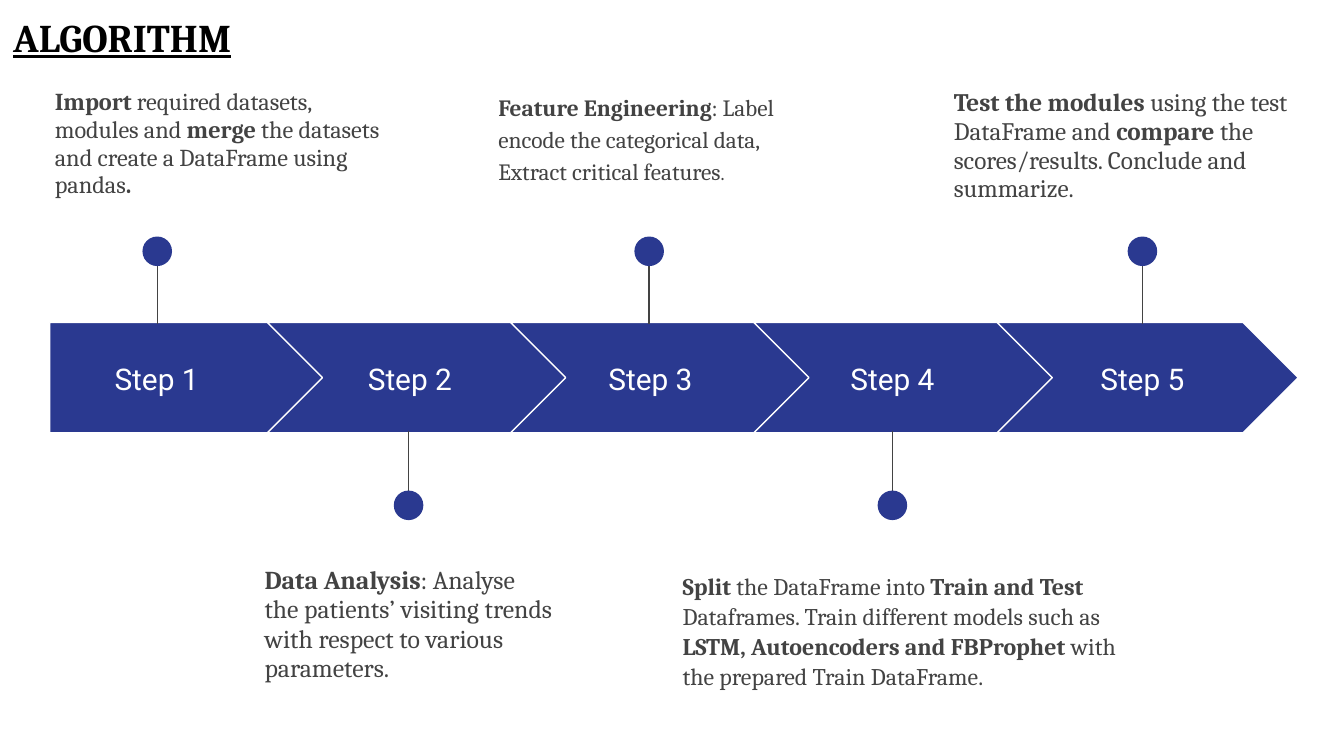
from dataclasses import dataclass

from lxml import etree
from pptx import Presentation
from pptx.dml.color import RGBColor
from pptx.enum.shapes import MSO_CONNECTOR, MSO_SHAPE
from pptx.enum.text import MSO_ANCHOR, PP_ALIGN
from pptx.oxml.ns import qn
from pptx.shapes.autoshape import Shape
from pptx.slide import Slide
from pptx.util import Inches, Pt

PENTAGON = MSO_SHAPE.PENTAGON
CHEVRON = MSO_SHAPE.CHEVRON
OVAL = MSO_SHAPE.OVAL
STRAIGHT = MSO_CONNECTOR.STRAIGHT
MIDDLE = MSO_ANCHOR.MIDDLE
TOP = MSO_ANCHOR.TOP
CENTER = PP_ALIGN.CENTER


@dataclass(frozen=True)
class Theme:
    arrow: RGBColor = RGBColor(0x2A, 0x39, 0x90)
    white: RGBColor = RGBColor(0xFF, 0xFF, 0xFF)
    body: RGBColor = RGBColor(0x43, 0x43, 0x43)
    title: RGBColor = RGBColor(0, 0, 0)
    serif: str = "Cambria"
    sans: str = "Roboto"
    title_size: float = 21
    label_size: float = 16
    small_stop_size: float = 10.5
    line_width: float = 0.75


@dataclass(frozen=True)
class Box:
    left: float
    top: float
    width: float
    height: float


@dataclass(frozen=True)
class Step:
    label_left: float
    label_width: float
    stem_x: float
    note_box: Box
    note: str
    note_size: float
    line_spacing: float
    small_stop: bool = False


THEME = Theme()
ARROW_TOP, ARROW_HEIGHT = 2.4, 0.82
FIRST_LEFT, FIRST_WIDTH = 0.37, 2.05
CHEVRON_LEFT, CHEVRON_WIDTH, CHEVRON_PITCH = 1.99, 2.24, 1.81
LABEL_TOP, LABEL_HEIGHT = 2.56, 0.51
DOT_SIZE = 0.22
DOT_TOP_ABOVE, DOT_TOP_BELOW = 1.76, 3.65
STEM_ABOVE = (1.8, 2.41)
STEM_BELOW = (3.82, 3.21)

STEPS = [
    Step(0.37, 1.59, 1.17, Box(0.31, 0.56, 2.69, 1.25),
         "**Import** required datasets, modules and **merge** the datasets "
         "and create a DataFrame using pandas**.**", 13, 0.95),
    Step(2.33, 1.44, 3.04, Box(1.87, 4.11, 2.35, 1.42),
         "**Data Analysis**: Analyse the patients’ visiting trends with "
         "respect to various parameters.", 13.8, 0.95),
    Step(4.12, 1.44, 4.83, Box(3.61, 0.56, 2.45, 1.25),
         "**Feature Engineering**: Label encode the categorical data, "
         "Extract critical features", 12.5, 1.15, True),
    Step(5.92, 1.44, 6.64, Box(4.98, 4.14, 3.49, 1.36),
         "**Split** the DataFrame into **Train and Test** Dataframes. Train "
         "different models such as **LSTM, Autoencoders and FBProphet** with "
         "the prepared Train DataFrame.", 12.8, 1.05),
    Step(7.78, 1.44, 8.5, Box(7, 0.56, 3.07, 1.28),
         "**Test the modules** using the test DataFrame and **compare** the "
         "scores/results. Conclude and summarize.", 13.5, 0.95),
]


def add_filled(slide: Slide, kind: MSO_SHAPE, box: Box) -> Shape:
    shape = slide.shapes.add_shape(kind, Inches(box.left), Inches(box.top),
                                   Inches(box.width), Inches(box.height))
    shape.shadow.inherit = False
    shape.fill.solid()
    shape.fill.fore_color.rgb = THEME.arrow
    shape.line.fill.background()
    return shape


def add_run(holder: Shape, text: str, size: float, font: str,
            color: RGBColor, bold: bool = False) -> None:
    run = holder.text_frame.paragraphs[0].add_run()
    run.text = text
    run.font.size = Pt(size)
    run.font.name = font
    run.font.color.rgb = color
    run.font.bold = bold


def add_text(slide: Slide, box: Box, marked_text: str, size: float, font: str,
             color: RGBColor, anchor: MSO_ANCHOR = TOP) -> Shape:
    holder = slide.shapes.add_textbox(Inches(box.left), Inches(box.top),
                                      Inches(box.width), Inches(box.height))
    frame = holder.text_frame
    frame.word_wrap = True
    frame.vertical_anchor = anchor
    frame.margin_left = frame.margin_right = Inches(0.1)
    frame.margin_top = frame.margin_bottom = Inches(0.1)
    for position, part in enumerate(marked_text.split("**")):
        if part:
            add_run(holder, part, size, font, color, position % 2 == 1)
    return holder


def add_stem(slide: Slide, x: float, start: float, end: float) -> None:
    stem = slide.shapes.add_connector(STRAIGHT, Inches(x), Inches(start),
                                      Inches(x), Inches(end))
    stem.line.color.rgb = THEME.body
    stem.line.width = Pt(THEME.line_width)
    etree.SubElement(stem._element.spPr, qn("a:effectLst"))


def add_step(slide: Slide, index: int, step: Step) -> None:
    if index == 0:
        arrow_box = Box(FIRST_LEFT, ARROW_TOP, FIRST_WIDTH, ARROW_HEIGHT)
    else:
        left = CHEVRON_LEFT + (index - 1) * CHEVRON_PITCH
        arrow_box = Box(left, ARROW_TOP, CHEVRON_WIDTH, ARROW_HEIGHT)
    arrow = add_filled(slide, CHEVRON if index else PENTAGON, arrow_box)
    arrow.adjustments[0] = 0.5
    arrow.line.color.rgb = THEME.white
    arrow.line.width = Pt(THEME.line_width)

    label_box = Box(step.label_left, LABEL_TOP, step.label_width, LABEL_HEIGHT)
    label = add_text(slide, label_box, f"Step {index + 1}", THEME.label_size,
                     THEME.sans, THEME.white, MIDDLE)
    label.text_frame.paragraphs[0].alignment = CENTER

    above = index % 2 == 0
    add_stem(slide, step.stem_x, *(STEM_ABOVE if above else STEM_BELOW))
    dot_top = DOT_TOP_ABOVE if above else DOT_TOP_BELOW
    add_filled(slide, OVAL, Box(step.stem_x - DOT_SIZE / 2, dot_top,
                                DOT_SIZE, DOT_SIZE))

    note = add_text(slide, step.note_box, step.note, step.note_size,
                    THEME.serif, THEME.body)
    if step.small_stop:
        add_run(note, ".", THEME.small_stop_size, THEME.serif, THEME.body)
    paragraph = note.text_frame.paragraphs[0]
    paragraph.line_spacing = step.line_spacing
    paragraph.space_after = Pt(12)


def main() -> None:
    deck = Presentation()
    deck.slide_width = Inches(10)
    deck.slide_height = Inches(10 * 9 / 16)
    slide = deck.slides.add_slide(deck.slide_layouts[6])
    for index, step in enumerate(STEPS):
        add_step(slide, index, step)
    title = add_text(slide, Box(0, 0, 4.79, 0.56), "**ALGORITHM**",
                     THEME.title_size, THEME.serif, THEME.title)
    title.text_frame.paragraphs[0].runs[0].font.underline = True
    deck.save("out.pptx")


if __name__ == "__main__":
    main()
